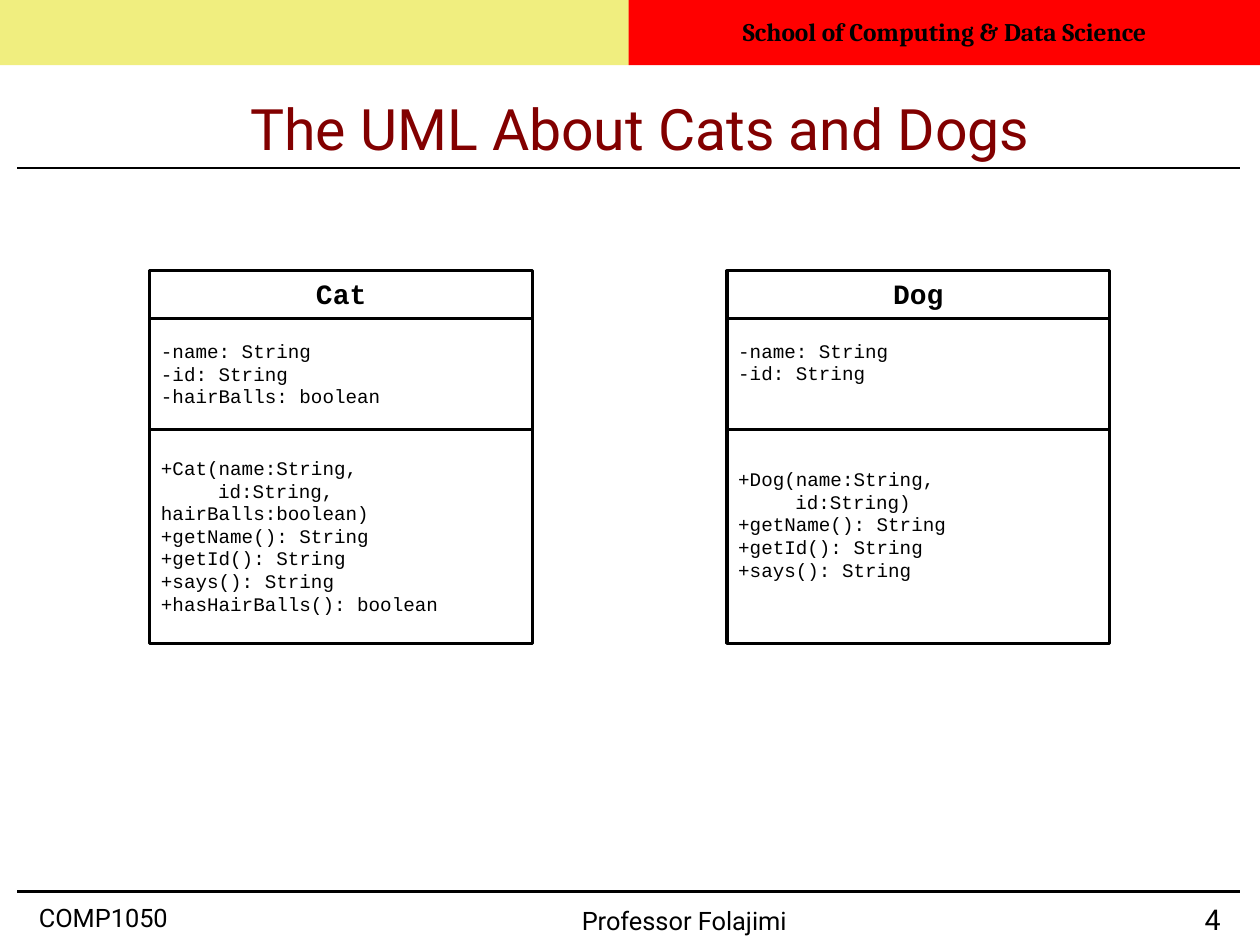
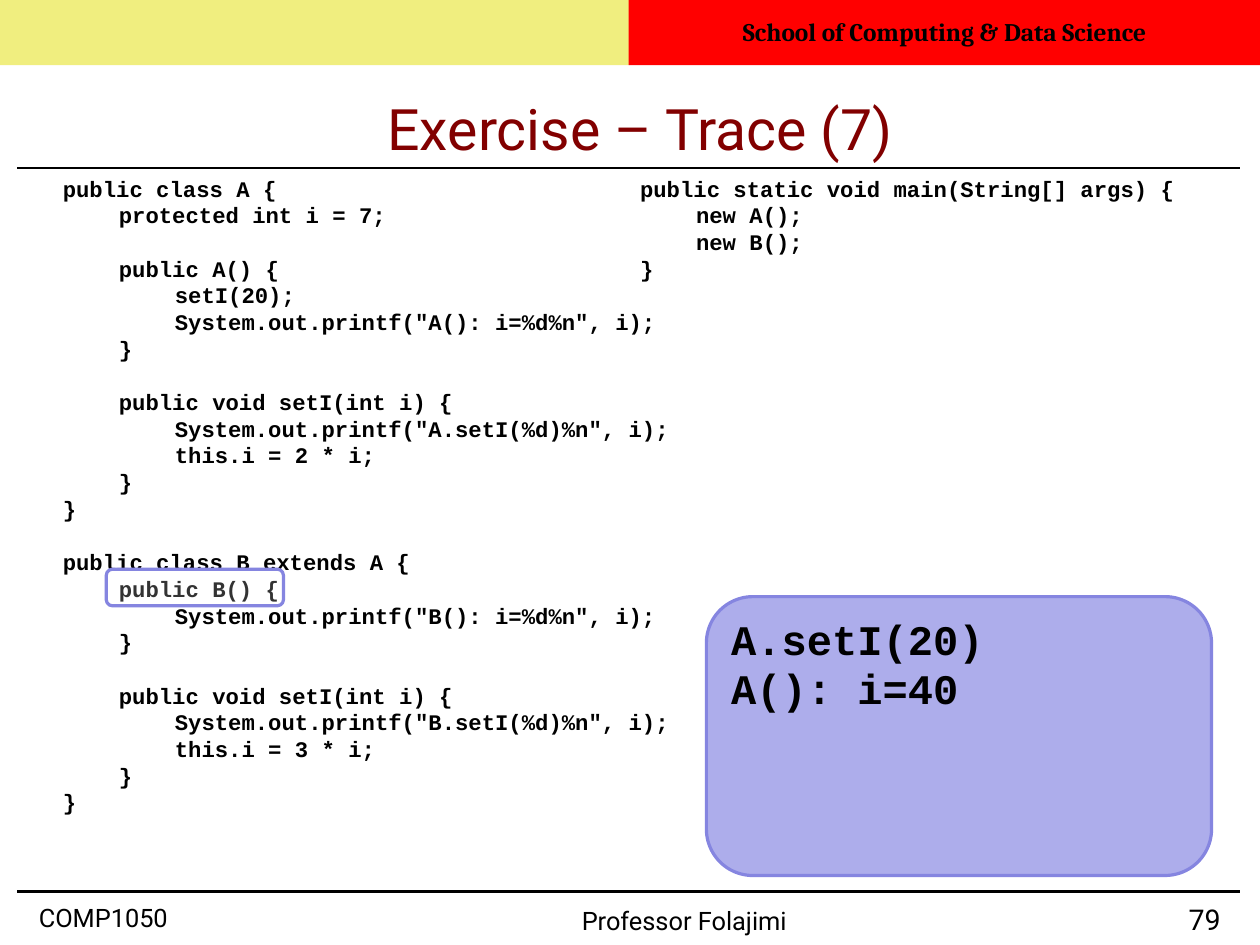
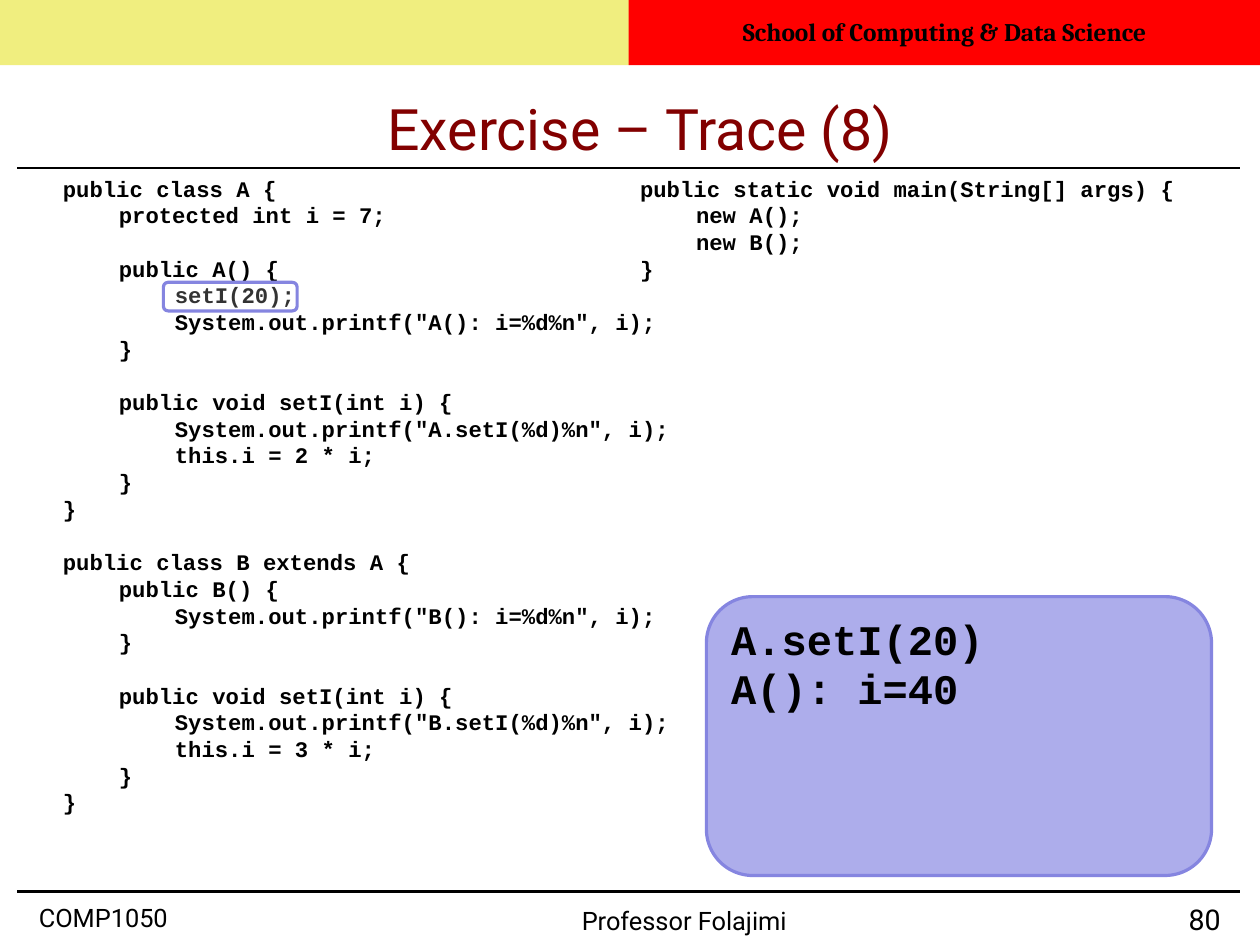
from pptx import Presentation
from pptx.dml.color import RGBColor
from pptx.enum.shapes import MSO_CONNECTOR as Conn, MSO_SHAPE as Kind
from pptx.enum.text import MSO_ANCHOR as Anchor, PP_ALIGN as Align
from pptx.oxml.ns import qn
from pptx.util import Inches, Pt
from lxml.etree import SubElement

BLACK = RGBColor(0x00, 0x00, 0x00)
WHITE = RGBColor(0xFF, 0xFF, 0xFF)
RED = RGBColor(0xFF, 0x00, 0x00)
YELLOW = RGBColor(0xE3, 0xDE, 0x00)
MAROON = RGBColor(0x82, 0x00, 0x00)
LILAC = RGBColor(0xAD, 0xAD, 0xEB)
VIOLET = RGBColor(0x85, 0x85, 0xE0)

SANS, SERIF, MONO = "Roboto", "Cambria", "Courier New"
PAD = (0.1, 0.05, 0.1, 0.05)
FLUSH = (0, 0, 0, 0)
FOOT = (0, 0.02, 0, 0)
TAB = 0.49
WIDE, HIGH = 28 / 2.54, 21 / 2.54

SCHOOL = "School of Computing & Data Science"
COURSE = "COMP1050"
TEACHER = "Professor Folajimi"

UML = [
    ("Cat",
     ["-name: String", "-id: String", "-hairBalls: boolean"],
     ["+Cat(name:String,", (0.5, "id:String, hairBalls:boolean)"),
      "+getName(): String", "+getId(): String", "+says(): String",
      "+hasHairBalls(): boolean"],
     0.05),
    ("Dog",
     ["-name: String", "-id: String"],
     ["+Dog(name:String,", (0.5, "id:String)"),
      "+getName(): String", "+getId(): String", "+says(): String"],
     0.25),
]
UML_X, UML_Y, UML_W, UML_STEP = 1.31, 2.37, 3.35, 5.05
UML_H = (0.42, 0.97, 1.87)

CODE = [
    [(0, "public class A {"),
     (1, "protected int i = 7;")],
    [(1, "public A() {"),
     (2, "setI(20);"),
     (2, 'System.out.printf("A(): i=%d%n", i);'),
     (1, "}")],
    [(1, "public void setI(int i) {"),
     (2, 'System.out.printf("A.setI(%d)%n", i);'),
     (2, "this.i = 2 * i;"),
     (1, "}"),
     (0, "}")],
    [(0, "public class B extends A {"),
     (1, "public B() {"),
     (2, 'System.out.printf("B(): i=%d%n", i);'),
     (1, "}")],
    [(1, "public void setI(int i) {"),
     (2, 'System.out.printf("B.setI(%d)%n", i);'),
     (2, "this.i = 3 * i;"),
     (1, "}"),
     (0, "}")],
]
MAIN = [
    [(0, "public static void main(String[] args) {"),
     (1, "new A();"),
     (1, "new B();"),
     (0, "}")],
]
OUTPUT = ["A.setI(20)", "A(): i=40"]

TRACES = [
    ("Exercise – Trace (7)", 79, 5.54, (0.93, 4.98, 1.55, 0.32)),
    ("Exercise – Trace (8)", 80, 5.38, (1.43, 2.47, 1.17, 0.25)),
]


def write(shape, lines, size, font=SANS, color=BLACK, bold=False,
          align=Align.LEFT, anchor=Anchor.TOP, pad=PAD, space=None):
    frame = shape.text_frame
    frame.word_wrap = True
    frame.vertical_anchor = anchor
    (frame.margin_left, frame.margin_top,
     frame.margin_right, frame.margin_bottom) = map(Inches, pad)
    frame.text = "\n".join(lines)
    for para in frame.paragraphs:
        para.alignment = align
        para.line_spacing = space
        for run in para.runs:
            run.font.size = Pt(size)
            run.font.name = font
            run.font.bold = bold
            run.font.color.rgb = color
    return frame.paragraphs


def label(slide, box, lines, size, **style):
    shape = slide.shapes.add_textbox(*map(Inches, box))
    return write(shape, lines, size, **style)


def block(slide, box, fill, line=None, kind=Kind.RECTANGLE, alpha=None):
    shape = slide.shapes.add_shape(kind, *map(Inches, box))
    shape.shadow.inherit = False
    shape.fill.solid()
    shape.fill.fore_color.rgb = fill
    if alpha:
        tint = shape.fill._xPr.find(qn("a:solidFill"))[0]
        SubElement(tint, qn("a:alpha")).set("val", str(alpha * 1000))
    if line is None:
        shape.line.fill.background()
    else:
        shape.line.color.rgb = line
        shape.line.width = Pt(2)
    return shape


def rule(slide, y):
    line = slide.shapes.add_connector(
        Conn.STRAIGHT, Inches(0.15), Inches(y), Inches(10.85), Inches(y))
    line.line.color.rgb = BLACK
    line.line.width = Pt(1.5)
    SubElement(line._element.spPr, qn("a:effectLst"))


def start(deck, title, number):
    slide = deck.slides.add_slide(deck.slide_layouts[6])
    for y in (7.8, 1.47):
        rule(slide, y)
    block(slide, (0, 0, 5.51, 0.57), YELLOW, alpha=50)
    band = block(slide, (5.5, 0, 5.53, 0.57), RED)
    write(band, [SCHOOL], 16, font=SERIF, bold=True, align=Align.CENTER,
          anchor=Anchor.MIDDLE, space=0.98)
    for box, text, size, align in (
            ((0.34, 7.9, 1.93, 0.28), COURSE, 16, Align.LEFT),
            ((5.09, 7.92, 1.93, 0.28), TEACHER, 16, Align.LEFT),
            ((9.85, 7.9, 0.83, 0.28), str(number), 18, Align.RIGHT)):
        label(slide, box, [text], size, align=align, pad=FOOT, space=0.93)
    label(slide, (1.35, 0.67, 8.5, 0.8), [title], 36, color=MAROON,
          align=Align.CENTER, anchor=Anchor.MIDDLE, pad=FLUSH, space=1.17)
    return slide


def draw_class(slide, x, name, fields, methods, foot):
    y = UML_Y
    low = PAD[:3] + (foot,)
    parts = (
        ([name], 17.6, True, Align.CENTER, PAD),
        (fields, 12.1, False, Align.LEFT, low),
        (methods, 12.1, False, Align.LEFT, low),
    )
    for high, (items, size, bold, align, pad) in zip(UML_H, parts):
        rows = [(0, row) if isinstance(row, str) else row for row in items]
        cell = block(slide, (x, y, UML_W, high), WHITE, BLACK)
        paras = write(cell, [text for _, text in rows], size, font=MONO,
                      bold=bold, align=align, anchor=Anchor.MIDDLE,
                      pad=pad, space=0.98)
        for para, (shift, _) in zip(paras, rows):
            if shift:
                para._p.get_or_add_pPr().set("indent", str(Inches(shift)))
        y += high


def draw_code(slide, box, groups):
    rows = [(level, text, at == 0 and group is not groups[0])
            for group in groups for at, (level, text) in enumerate(group)]
    paras = label(slide, box, [row[1] for row in rows], 14, font=MONO,
                  bold=True, pad=FLUSH)
    for para, (level, _, gap) in zip(paras, rows):
        para._p.get_or_add_pPr().set("marL", str(Inches(level * TAB)))
        if gap:
            para.space_before = Pt(16.8)


def main():
    deck = Presentation()
    deck.slide_width, deck.slide_height = Inches(WIDE), Inches(HIGH)

    slide = start(deck, "The UML About Cats and Dogs", 4)
    for at, item in enumerate(UML):
        draw_class(slide, UML_X + at * UML_STEP, *item)

    for title, number, width, mark in TRACES:
        slide = start(deck, title, number)
        draw_code(slide, (0.55, 1.53, width, 5.85), CODE)
        draw_code(slide, (5.6, 1.53, 4.87, 5.85), MAIN)
        block(slide, mark, WHITE, VIOLET, Kind.ROUNDED_RECTANGLE, 20)
        panel = block(slide, (6.18, 5.22, 4.42, 2.44), LILAC, VIOLET,
                      Kind.ROUNDED_RECTANGLE)
        write(panel, OUTPUT, 26.5, font=MONO, bold=True, space=0.98)

    deck.save("out.pptx")


if __name__ == "__main__":
    main()
